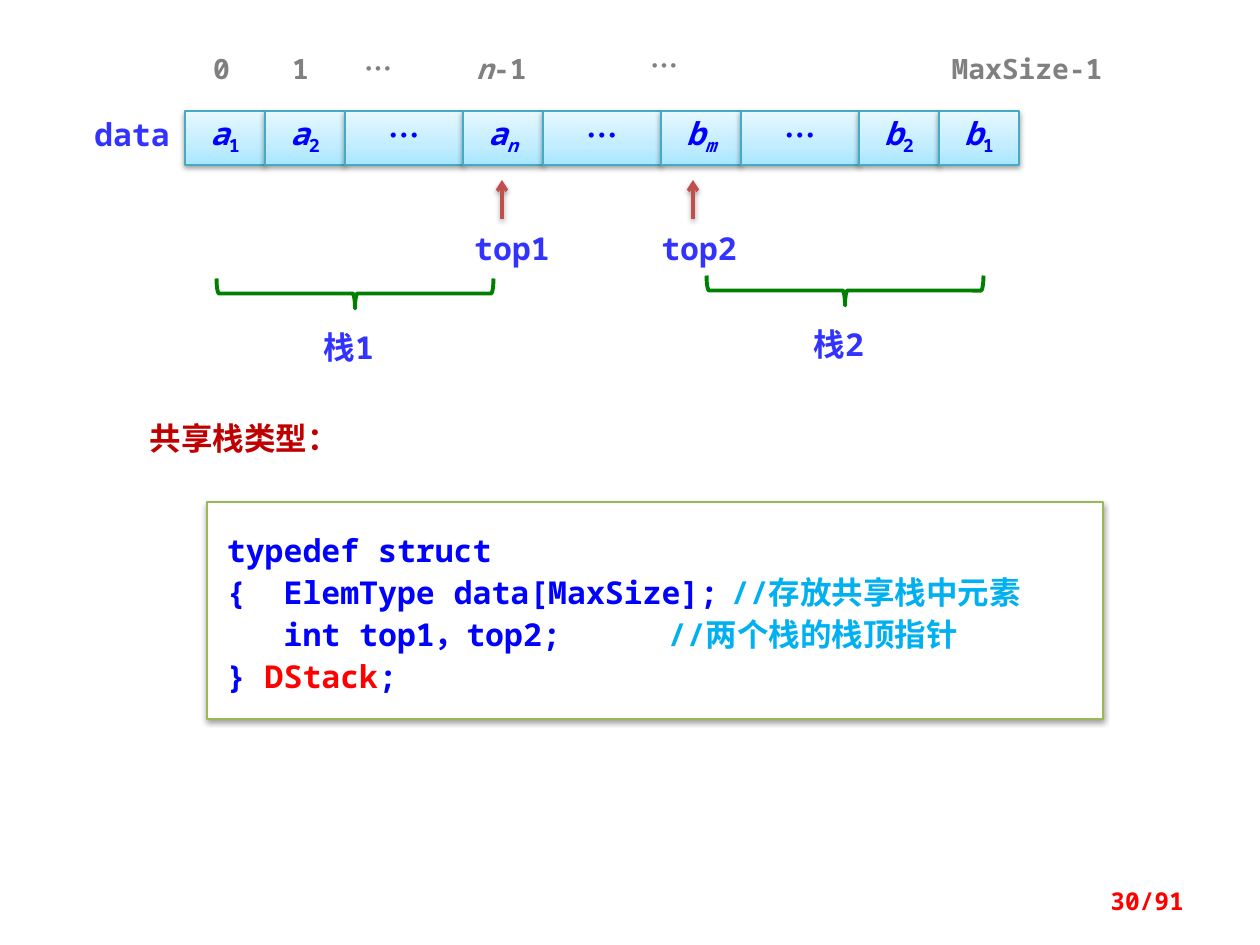
from copy import deepcopy
from lxml.etree import SubElement
from pptx import Presentation
from pptx.dml.color import RGBColor
from pptx.enum.shapes import MSO_CONNECTOR, MSO_SHAPE
from pptx.enum.text import MSO_ANCHOR, PP_ALIGN
from pptx.oxml.ns import qn
from pptx.util import Pt

PX = 914400 / 126
MONO, CJK = "Noto Sans Mono", "Noto Sans CJK SC"
COLORS = {
    "code": "0000FF", "label": "3333FF", "index": "808080", "heading": "C00000",
    "red": "FF0000", "comment": "00B0F0", "arrow": "C0504D", "brace": "008000",
    "cell_line": "46AAC5", "code_line": "98B955", "white": "FFFFFF", "shadow": "000000",
}
CELL_STOPS = [(0, "A7E6FF"), (0.35, "C1EDFF"), (1, "E7F8FF")]


def add_text(shape, lines, size=18, align=PP_ALIGN.CENTER, insets=(0, 0, 0, 0),
             anchor=MSO_ANCHOR.TOP, spacing=None):
    frame = shape.text_frame
    frame.word_wrap = True
    frame.vertical_anchor = anchor
    frame.margin_left, frame.margin_top, frame.margin_right, frame.margin_bottom = [
        round(inset * PX) for inset in insets]
    for number, pieces in enumerate(lines):
        paragraph = frame.add_paragraph() if number else frame.paragraphs[0]
        paragraph.alignment = align
        if spacing:
            paragraph.line_spacing = Pt(spacing)
        for text, color, style in pieces:
            run = paragraph.add_run()
            run.text = text
            font = run.font
            font.size, font.bold, font.italic = Pt(size), True, "i" in style
            font.color.rgb = RGBColor.from_string(COLORS[color])
            font.name = CJK if text == "…" else MONO
            properties = font._element
            SubElement(properties, qn("a:ea"), typeface=CJK)
            if "sub" in style:
                properties.set("baseline", "-25000")


def add_shadow(properties):
    effects = properties.find(qn("a:effectLst"))
    if effects is None:
        effects = SubElement(properties, qn("a:effectLst"))
    outer = SubElement(effects, qn("a:outerShdw"), blurRad="40000", dist="20000",
                       dir="5400000", rotWithShape="0")
    tint = SubElement(outer, qn("a:srgbClr"), val=COLORS["shadow"])
    SubElement(tint, qn("a:alpha"), val="38000")


prs = Presentation()
prs.slide_width, prs.slide_height = round(1260 * PX), round(945 * PX)
slide = prs.slides.add_slide(prs.slide_layouts[6])
shapes = slide.shapes

cells = [("a", "1"), ("a", "2"), ("…", ""), ("a", "n"), ("…", ""),
         ("b", "m"), ("…", ""), ("b", "2"), ("b", "1")]
cell_left = 185
for letter, subscript in cells:
    cell_width = 80 if subscript else 118
    cell = shapes.add_shape(MSO_SHAPE.RECTANGLE, round(cell_left * PX), round(111 * PX),
                            round(cell_width * PX), round(54 * PX))
    cell.shadow.inherit = False
    cell.fill.gradient()
    cell.fill.gradient_angle = 90
    first_stop = cell.fill.gradient_stops[0]._gs
    first_stop.addnext(deepcopy(first_stop))
    for stop, (position, color) in zip(cell.fill.gradient_stops, CELL_STOPS):
        stop.position = position
        stop.color.rgb = RGBColor.from_string(color)
    cell.line.color.rgb = RGBColor.from_string(COLORS["cell_line"])
    cell.line.width = Pt(0.75)
    add_shadow(cell._element.spPr)
    pieces = [(letter, "code", "i" if subscript else "")]
    if subscript:
        pieces.append((subscript, "code", "sub" if subscript.isdigit() else "sub i"))
    add_text(cell, [pieces], insets=(13, 0, 13, 6), anchor=MSO_ANCHOR.MIDDLE)
    cell_left += cell_width

labels = [
    (197, 52, 49, 34, 16, [("0", "index", "")]),
    (276, 52, 49, 34, 16, [("1", "index", "")]),
    (354, 52, 49, 34, 16, [("…", "index", "")]),
    (462, 52, 79, 34, 16, [("n", "index", "i"), ("-1", "index", "")]),
    (640, 49, 49, 34, 16, [("…", "index", "")]),
    (943, 52, 168, 34, 16, [("MaxSize-1", "index", "")]),
    (88, 115, 88, 38, 18, [("data", "label", "")]),
    (472, 229, 80, 38, 18, [("top1", "label", "")]),
    (659, 229, 80, 38, 18, [("top2", "label", "")]),
    (305, 328, 88, 38, 18, [("栈1", "label", "")]),
    (795, 325, 88, 38, 18, [("栈2", "label", "")]),
]
for left, top, width, height, size, pieces in labels:
    label = shapes.add_textbox(round(left * PX), round(top * PX),
                               round(width * PX), round(height * PX))
    add_text(label, [pieces], size)

for pointer_x in (502, 693):
    pointer = shapes.add_connector(MSO_CONNECTOR.STRAIGHT, round(pointer_x * PX),
                                   round(219 * PX), round(pointer_x * PX), round(180 * PX))
    pointer.line.color.rgb = RGBColor.from_string(COLORS["arrow"])
    pointer.line.width = Pt(2)
    SubElement(pointer.line._get_or_add_ln(), qn("a:tailEnd"), type="arrow")
    add_shadow(pointer._element.spPr)

for brace_left, brace_top in ((340, 155), (830, 152)):
    brace = shapes.add_shape(MSO_SHAPE.RIGHT_BRACE, round(brace_left * PX),
                             round(brace_top * PX), round(30 * PX), round(277 * PX))
    brace.rotation = 90
    brace.shadow.inherit = False
    brace.fill.background()
    brace.line.color.rgb = RGBColor.from_string(COLORS["brace"])
    brace.line.width = Pt(2.25)

code_box = shapes.add_shape(MSO_SHAPE.RECTANGLE, round(207 * PX), round(502 * PX),
                            round(896 * PX), round(217 * PX))
code_box.shadow.inherit = False
code_box.fill.solid()
code_box.fill.fore_color.rgb = RGBColor.from_string(COLORS["white"])
code_box.line.color.rgb = RGBColor.from_string(COLORS["code_line"])
code_box.line.width = Pt(0.75)
add_shadow(code_box._element.spPr)
add_text(code_box, [
    [("typedef struct", "code", "")],
    [("{  ElemType data[MaxSize];\t", "code", ""), ("//存放共享栈中元素", "comment", "")],
    [("   int top1，top2;\t\t", "code", ""), ("//两个栈的栈顶指针", "comment", "")],
    [("} ", "code", ""), ("DStack", "red", ""), (";", "code", "")],
], align=PP_ALIGN.LEFT, insets=(20, 25, 13, 25), spacing=24)

heading = shapes.add_textbox(round(137 * PX), round(413 * PX), round(305 * PX), round(50 * PX))
add_text(heading, [[("共享栈类型：", "heading", "")]], align=PP_ALIGN.LEFT, insets=(13, 6, 13, 6))

page_number = shapes.add_textbox(round(903 * PX), round(876 * PX), round(294 * PX), round(50 * PX))
add_text(page_number, [[("30/91", "red", "")]], 14, PP_ALIGN.RIGHT, (13, 6, 13, 6),
         MSO_ANCHOR.MIDDLE)

prs.save("out.pptx")
